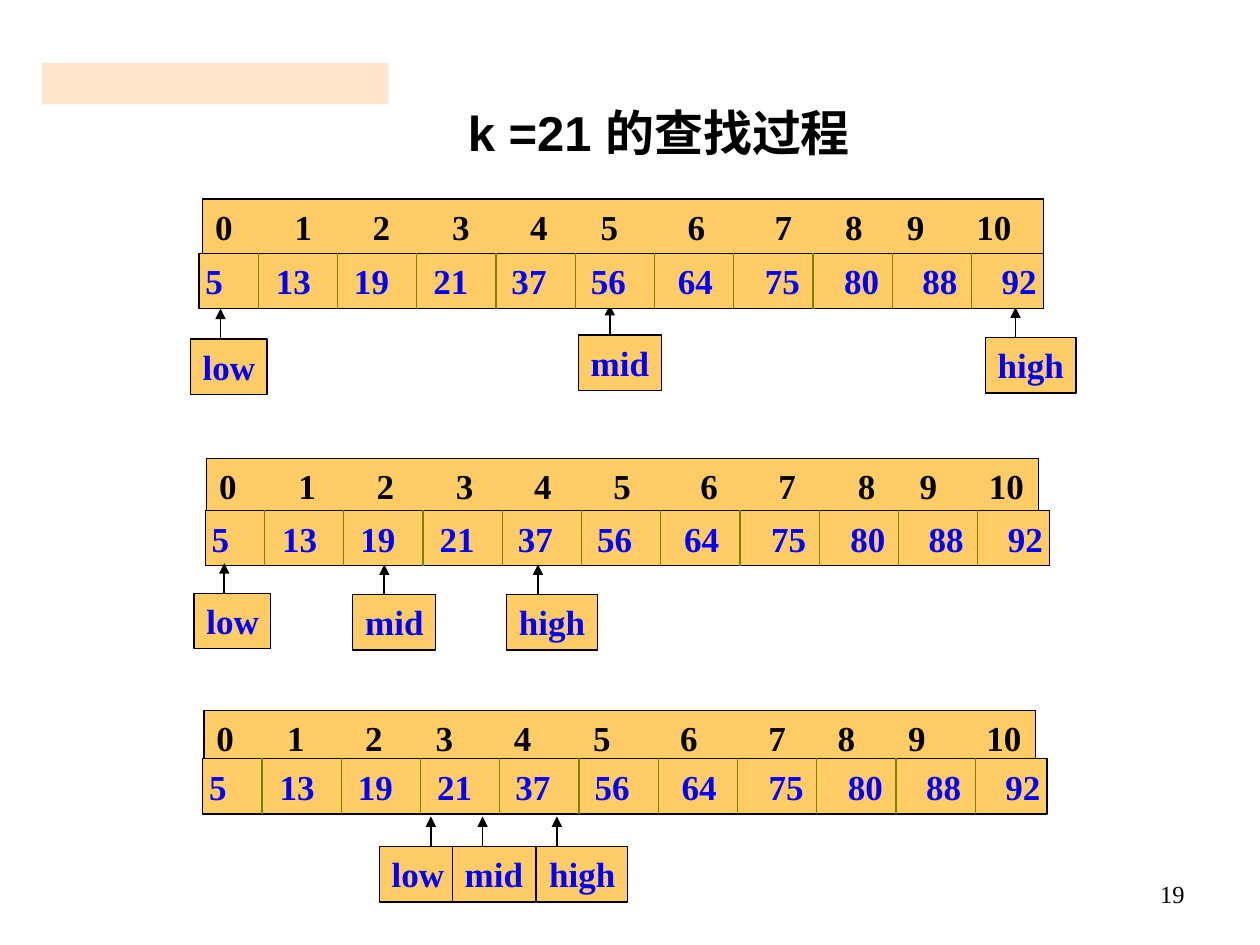
import pptx
import pptx.util
import pptx.dml.color
import pptx.enum.shapes
import pptx.enum.text
import pptx.oxml
import pptx.oxml.ns
from pptx.util import Inches

COLORS = {
    "band": "FFCC99",
    "box": "FFCC66",
    "edge": "000000",
    "divider": "808000",
    "index": "000000",
    "value": "0000FF",
}
SERIF = "Times New Roman"
ROW_HEIGHT = 0.44
VALUES = [5, 13, 19, 21, 37, 56, 64, 75, 80, 88, 92]
VALUE_STOPS = [0.56, 1.18, 1.81, 2.43, 3.06, 3.75, 4.44, 5.07, 5.69, 6.32]
LABEL_WIDTHS = {"low": 0.61, "mid": 0.66, "high": 0.72}

SEARCH_STEPS = [
    {
        "values_at": (1.58, 2.01),
        "indexes_at": (1.61, 1.58, 6.67),
        "index_stops": [0.63, 1.25, 1.88, 2.5, 3.06, 3.75, 4.44, 5, 5.49, 6.04],
        "pointers": [("low", 1.51, 2.69, 1.75), ("high", 7.82, 2.68, 8.06),
                     ("mid", 4.59, 2.66, 4.84)],
        "pointers_behind": True,
    },
    {
        "values_at": (1.63, 4.05),
        "indexes_at": (1.64, 3.64, 6.6),
        "index_stops": [0.63, 1.25, 1.88, 2.5, 3.13, 3.82, 4.44, 5.07, 5.56, 6.11],
        "pointers": [("low", 1.54, 4.71, 1.78), ("high", 4.02, 4.72, 4.27),
                     ("mid", 2.8, 4.72, 3.05)],
        "pointers_behind": False,
    },
    {
        "values_at": (1.61, 6.02),
        "indexes_at": (1.62, 5.64, 6.6),
        "index_stops": [0.56, 1.18, 1.74, 2.36, 2.99, 3.68, 4.38, 4.93, 5.49, 6.11],
        "pointers": [("low", 3.01, 6.72, 3.42), ("high", 4.26, 6.72, 4.42),
                     ("mid", 3.59, 6.72, 3.83)],
        "pointers_behind": False,
    },
]


def rgb(name):
    return pptx.dml.color.RGBColor.from_string(COLORS[name])


def write(shape, text, size, color, font=SERIF, bold=True, align="LEFT",
          anchor="TOP", wrap=False, inset=0.1, stops=()):
    frame = shape.text_frame
    frame.word_wrap = wrap
    frame.vertical_anchor = getattr(pptx.enum.text.MSO_ANCHOR, anchor)
    frame.margin_left = frame.margin_right = Inches(inset)
    frame.text = text
    paragraph = frame.paragraphs[0]
    paragraph.alignment = getattr(pptx.enum.text.PP_ALIGN, align)
    if stops:
        properties = paragraph._p.get_or_add_pPr()
        tabs = pptx.oxml.ns.qn("a:tabLst")
        tab_list = properties.makeelement(tabs, {})
        properties.append(tab_list)
        for stop in stops:
            tab = tab_list.makeelement(
                pptx.oxml.ns.qn("a:tab"), {"pos": str(Inches(stop)), "algn": "l"})
            tab_list.append(tab)
    run_font = paragraph.runs[0].font
    run_font.name = font
    run_font.size = pptx.util.Pt(size)
    run_font.bold = bold
    run_font.color.rgb = rgb(color)


def add_box(slide, left, top, width, height, fill="box", edge="edge"):
    box = slide.shapes.add_shape(
        pptx.enum.shapes.MSO_SHAPE.RECTANGLE,
        Inches(left), Inches(top), Inches(width), Inches(height))
    box.shadow.inherit = False
    box.fill.solid()
    box.fill.fore_color.rgb = rgb(fill)
    if edge:
        box.line.color.rgb = rgb(edge)
        box.line.width = pptx.util.Pt(0.75)
    else:
        box.line.fill.background()
    return box


def add_line(slide, x, start, end, color, width, arrow=False):
    line = slide.shapes.add_connector(
        pptx.enum.shapes.MSO_CONNECTOR.STRAIGHT,
        Inches(x), Inches(start), Inches(x), Inches(end))
    line.line.color.rgb = rgb(color)
    line.line.width = pptx.util.Pt(width)
    if arrow:
        outline = line.line._get_or_add_ln()
        outline.append(outline.makeelement(
            pptx.oxml.ns.qn("a:tailEnd"), {"type": "triangle"}))
    properties = line._element.spPr
    properties.append(properties.makeelement(pptx.oxml.ns.qn("a:effectLst"), {}))


def add_header(slide, left, top, width, height):
    band = add_box(slide, 0.33, 0.5, 2.75, 0.33, "band", None)
    color = band.fill._xPr.find(".//" + pptx.oxml.ns.qn("a:srgbClr"))
    color.append(color.makeelement(pptx.oxml.ns.qn("a:alpha"), {"val": "50000"}))
    title = slide.shapes.add_textbox(
        Inches(left), Inches(top), Inches(width), Inches(height))
    write(title, "k =21 的查找过程", 28, "index", font="Arial",
          align="CENTER", anchor="MIDDLE", wrap=True)


def add_page_number(slide, left, top, width, height):
    number = slide.shapes.add_textbox(
        Inches(left), Inches(top), Inches(width), Inches(height))
    write(number, "19", 14, "index", bold=False, align="RIGHT", wrap=True)


def add_pointer(slide, label, left, top, arrow_x):
    add_line(slide, arrow_x, top + 0.14, top - 0.24, "edge", 1, arrow=True)
    box = add_box(slide, left, top, LABEL_WIDTHS[label], ROW_HEIGHT)
    write(box, label, 20, "value")


def add_array(slide, values_at, indexes_at, index_stops):
    index_left, index_top, index_width = indexes_at
    indexes = add_box(slide, index_left, index_top, index_width, ROW_HEIGHT)
    write(indexes, "\t".join(map(str, range(len(VALUES)))), 20, "index",
          wrap=True, stops=index_stops)
    left, top = values_at
    values = add_box(slide, left, top, 6.7, ROW_HEIGHT)
    write(values, "\t".join(map(str, VALUES)), 20, "value",
          anchor="MIDDLE", wrap=True, inset=0.05, stops=VALUE_STOPS)
    divider_count = len(VALUES) - 1
    for number in range(divider_count):
        x = left + 0.47 + 5.66 * number / (divider_count - 1)
        add_line(slide, x, top, top + ROW_HEIGHT, "divider", 0.75)


def add_search_step(slide, step):
    def add_pointers():
        for pointer in step["pointers"]:
            add_pointer(slide, *pointer)

    if step["pointers_behind"]:
        add_pointers()
    add_array(slide, step["values_at"], step["indexes_at"], step["index_stops"])
    if not step["pointers_behind"]:
        add_pointers()


def main():
    deck = pptx.Presentation()
    deck.slide_width = Inches(10)
    deck.slide_height = Inches(7.5)
    slide = deck.slides.add_slide(deck.slide_layouts[6])
    add_page_number(slide, 7.17, 6.93, 2.33, 0.52)
    add_header(slide, 0.98, 0.76, 8.5, 0.57)
    for step in SEARCH_STEPS:
        add_search_step(slide, step)
    deck.save("out.pptx")


if __name__ == "__main__":
    main()
